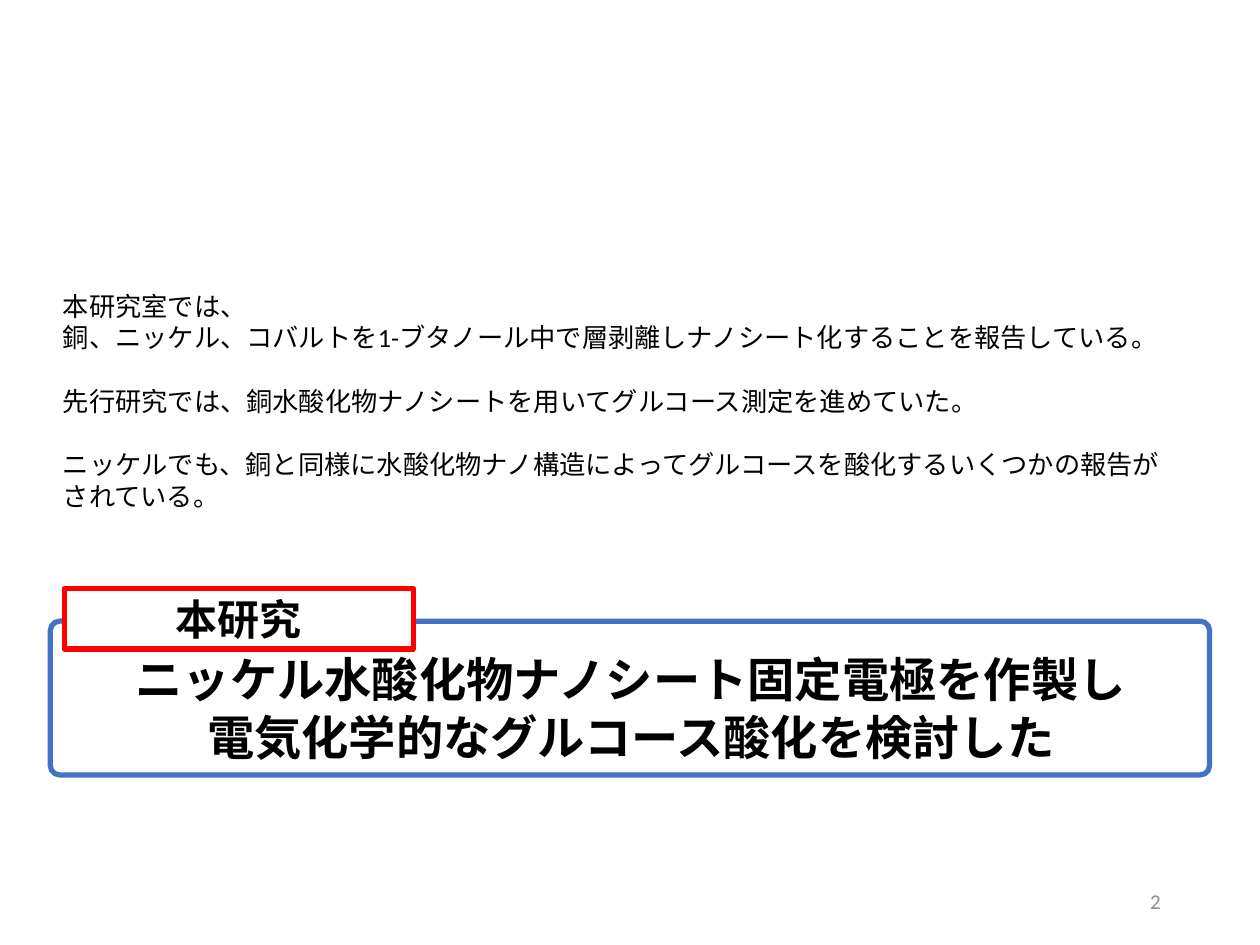
"""Build the slide that states the background and aim of the nanosheet study."""
from dataclasses import dataclass

import pptx
import pptx.dml.color
import pptx.enum.shapes
import pptx.enum.text
import pptx.util
from lxml import etree
from pptx.oxml.ns import qn

BLACK = pptx.dml.color.RGBColor(0x00, 0x00, 0x00)
WHITE = pptx.dml.color.RGBColor(0xFF, 0xFF, 0xFF)
GREY = pptx.dml.color.RGBColor(0x8C, 0x8C, 0x8C)
BLUE = pptx.dml.color.RGBColor(0x44, 0x72, 0xC4)
RED = pptx.dml.color.RGBColor(0xFF, 0x00, 0x00)

LATIN = "Calibri"
JAPANESE = "Noto Sans CJK JP"
COLUMNS, ROWS = 100, 75
LINE_HEIGHT = 1.21
ALIGN = pptx.enum.text.PP_ALIGN
ANCHOR = pptx.enum.text.MSO_ANCHOR

BACKGROUND = [
    "本研究室では、",
    "銅、ニッケル、コバルトを1-ブタノール中で層剥離しナノシート化することを報告している。",
    "先行研究では、銅水酸化物ナノシートを用いてグルコース測定を進めていた。",
    "ニッケルでも、銅と同様に水酸化物ナノ構造によってグルコースを酸化するいくつかの報告がされている。",
]
AIM = ["ニッケル水酸化物ナノシート固定電極を作製し", "電気化学的なグルコース酸化を検討した"]


@dataclass(frozen=True)
class Area:
    """Place on the slide in grid columns and rows."""

    column: float
    row: float
    columns: float
    rows: float

    def lengths(self, deck) -> list[int]:
        """Return left, top, width and height."""
        across, down = deck.slide_width / COLUMNS, deck.slide_height / ROWS
        return [round(length) for length in (
            self.column * across, self.row * down, self.columns * across, self.rows * down)]


@dataclass(frozen=True)
class Frame:
    """Outlined box with corners of a given roundness."""

    area: Area
    line: pptx.dml.color.RGBColor
    corner: float
    filled: bool


def write(box, lines: list[str], *, size: float, font: str = JAPANESE, color=BLACK,
          bold: bool = False, align=ALIGN.LEFT, anchor=ANCHOR.TOP,
          gaps: tuple[int, ...] = ()) -> None:
    """Fill a box with paragraphs, leaving one line free before those in gaps."""
    frame = box.text_frame
    frame.word_wrap = True
    frame.vertical_anchor = anchor
    pitch = pptx.util.Pt(round(size * LINE_HEIGHT, 1))
    for index, text in enumerate(lines):
        para = frame.add_paragraph() if index else frame.paragraphs[0]
        para.alignment = align
        para.line_spacing = pitch
        para.space_before = pitch if index in gaps else 0
        span = para.add_run()
        span.text = text
        span.font.size = pptx.util.Pt(size)
        span.font.name = font
        span.font.bold = bold
        span.font.color.rgb = color
        east_asian = etree.SubElement(span.font._element, qn("a:ea"))
        east_asian.set("typeface", JAPANESE)


def add_text(deck, page, area: Area, lines: list[str], **style) -> None:
    """Add a text box with formatted paragraphs."""
    write(page.shapes.add_textbox(*area.lengths(deck)), lines, **style)


def add_frame(deck, page, frame: Frame):
    """Draw an outlined box and return it."""
    kind = pptx.enum.shapes.MSO_SHAPE.ROUNDED_RECTANGLE
    box = page.shapes.add_shape(kind, *frame.area.lengths(deck))
    box.adjustments[0] = frame.corner
    box.shadow.inherit = False
    box.line.color.rgb = frame.line
    box.line.width = pptx.util.Pt(3)
    if frame.filled:
        box.fill.solid()
        box.fill.fore_color.rgb = WHITE
    else:
        box.fill.background()
    return box


def main() -> None:
    """Build and save the deck."""
    deck = pptx.Presentation()
    deck.slide_width = pptx.util.Inches(10)
    deck.slide_height = pptx.util.Inches(7.5)
    page = deck.slides.add_slide(deck.slide_layouts[6])

    add_text(deck, page, Area(70.6, 69.5, 22.5, 4), ["2"], size=12, font=LATIN,
             color=GREY, align=ALIGN.RIGHT, anchor=ANCHOR.MIDDLE)
    add_frame(deck, page, Frame(Area(4, 49.3, 92, 12.2), BLUE, 0.06, False))
    add_text(deck, page, Area(5.1, 51.1, 89.9, 10.1), AIM, size=27, bold=True,
             align=ALIGN.CENTER)
    label = add_frame(deck, page, Frame(Area(5.1, 46.7, 27.7, 4.8), RED, 0, True))
    write(label, ["本研究"], size=24, bold=True, align=ALIGN.CENTER, anchor=ANCHOR.MIDDLE)
    add_text(deck, page, Area(4, 22.5, 89.1, 18.7), BACKGROUND, size=15, font=LATIN,
             gaps=(2, 3))

    deck.save("out.pptx")


if __name__ == "__main__":
    main()
